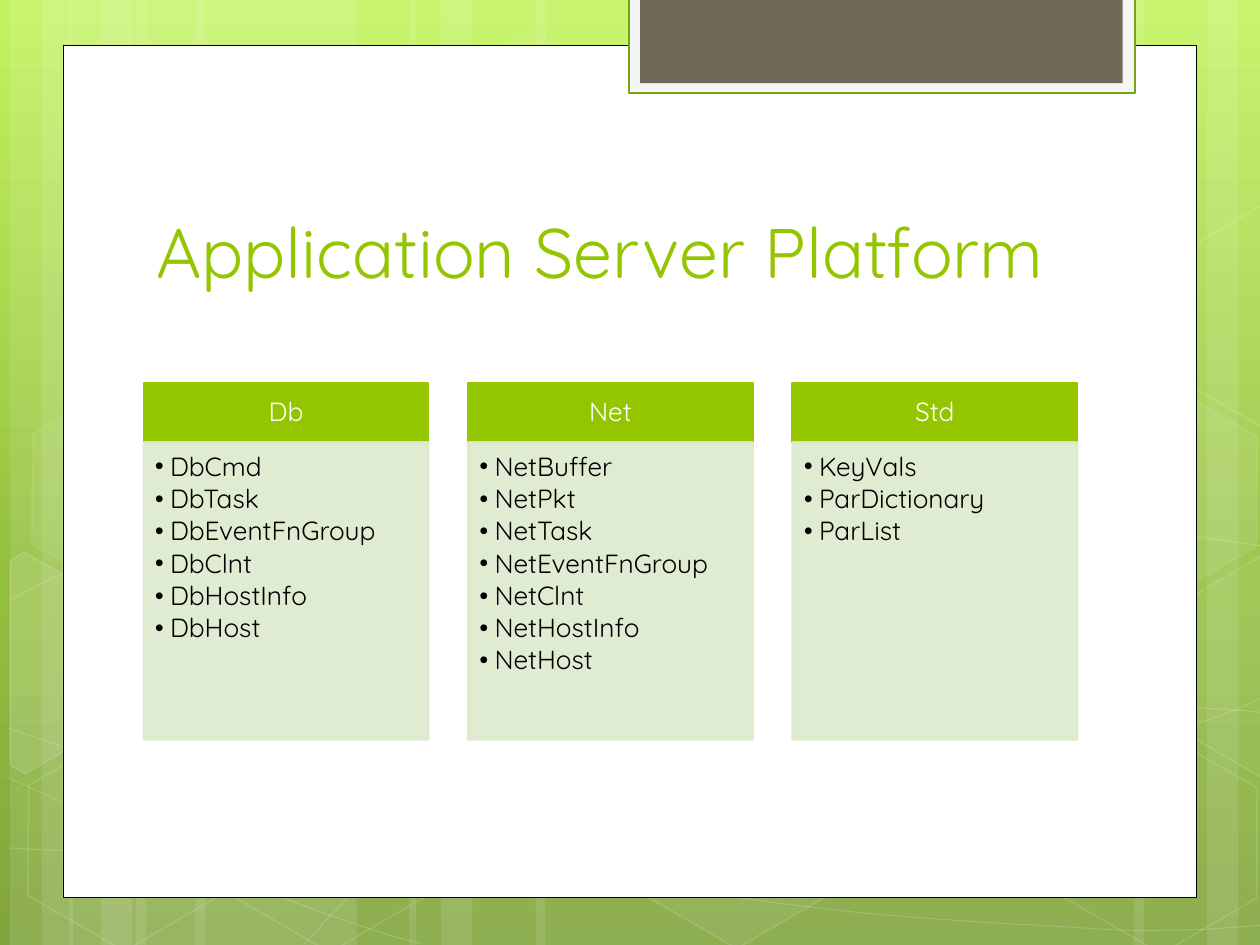
import copy
import math
from dataclasses import dataclass

import pptx
import pptx.dml.color
import pptx.enum.shapes
import pptx.enum.text
import pptx.oxml.ns
import pptx.util

Inches, Pt = pptx.util.Inches, pptx.util.Pt
MsoShape = pptx.enum.shapes.MSO_SHAPE
Anchor, Align = pptx.enum.text.MSO_ANCHOR, pptx.enum.text.PP_ALIGN
Point = tuple[float, float]
Box = tuple[float, float, float, float]


@dataclass(frozen=True)
class Theme:
    font: str = "Quicksand"
    title_size: int = 40
    body_size: int = 15
    accent: str = "94C600"
    pale: str = "DCEACC"
    white: str = "FFFFFF"
    black: str = "000000"
    tab_fill: str = "F5F5F5"
    tab_line: str = "74A510"
    tab_core: str = "71685A"
    gradient: tuple = ((0, "C3F35F"), (0.62, "93BF3F"), (1, "81A53E"))


@dataclass(frozen=True)
class Ink:
    color: str
    opacity: int = 100
    width: float = 1


@dataclass(frozen=True)
class Hexagon:
    left: float
    top: float
    fill_opacity: int
    line_opacity: int


@dataclass(frozen=True)
class CutHexagon:
    center: Point
    fill_opacity: int
    points: list[Point]


THEME = Theme()
TILT = 30

# Translucent vertical bands: left, width
BANDS = [(1.08, 1.75), (0.08, 0.5), (0.33, 0.83), (1.55, 1.75), (0.55, 0.5), (0.8, 0.83),
         (7.33, 1.75), (9.58, 0.5), (9, 0.83), (4.25, 3.08), (3.25, 0.5), (3.5, 0.83)]

# Bezier curves: a start point, then three points per segment
CURVES = [
    [(0.07, 6.73), (0.61, 6.76), (1.15, 6.79), (1.9, 6.78), (2.65, 6.77), (3.58, 6.75), (4.58, 6.65),
     (5.58, 6.55), (7, 6.36), (7.92, 6.17), (8.83, 5.98), (9.77, 5.68), (10.07, 5.51)],
    [(0.07, 4.77), (0.36, 4.61), (0.65, 4.46), (1.21, 4.31), (1.78, 4.16), (2.59, 3.94), (3.47, 3.87),
     (4.36, 3.8), (5.44, 3.79), (6.54, 3.87), (7.64, 3.95), (9.47, 4.26), (10.07, 4.34)],
    [(0.06, 6.17), (1.27, 6.72), (2.47, 7.27), (3.34, 7.49)],
    [(0.07, 5.78), (0.38, 5.89), (0.7, 6), (1.28, 6.16), (1.86, 6.31), (2.73, 6.56), (3.57, 6.73),
     (4.4, 6.9), (5.45, 7.08), (6.28, 7.18), (7.11, 7.29), (8, 7.33), (8.53, 7.36),
     (9.05, 7.4), (9.19, 7.38), (9.45, 7.38), (9.71, 7.37), (9.89, 7.35), (10.07, 7.34)],
    [(2.42, 7.49), (2.6, 7.29), (2.78, 7.09), (3.02, 6.91), (3.26, 6.73), (3.6, 6.53), (3.88, 6.39),
     (4.16, 6.25), (4.33, 6.19), (4.7, 6.09), (5.06, 5.99), (5.73, 5.85), (6.08, 5.78),
     (6.44, 5.71), (6.49, 5.71), (6.8, 5.69), (7.11, 5.66), (7.6, 5.63), (7.94, 5.62),
     (8.29, 5.61), (8.86, 5.62), (8.86, 5.62), (8.86, 5.62), (9.53, 5.62), (9.53, 5.62),
     (9.71, 5.63), (9.88, 5.64), (9.97, 5.65), (10.06, 5.66), (10.03, 5.65), (10.06, 5.66)],
]

# Tilted hexagons, some cut off by the slide edge
HEXAGONS = [
    Hexagon(3.34, 0.36, 4, 8), Hexagon(4.97, 5.89, 6, 12),
    CutHexagon((0.36, 5.35), 10, [(0.08, 4.45), (0.19, 4.38), (0.96, 4.82), (0.95, 5.7), (0.2, 6.14), (0.08, 6.07)]),
    Hexagon(0.11, 5.91, 0, 12), Hexagon(0.14, 3.12, 7, 8), Hexagon(1.74, 5.92, 0, 12),
    Hexagon(7.53, 4.53, 10, 12), Hexagon(8.34, 5.93, 0, 12), Hexagon(8.34, 3.14, 7, 8),
    CutHexagon((9.85, 5.2), 4, [(9.26, 4.85), (10.01, 4.41), (10.09, 4.46), (10.09, 6.13), (10.02, 6.17), (9.26, 5.73)]),
    CutHexagon((9.85, 2.41), 0, [(9.26, 2.07), (10.01, 1.63), (10.1, 1.68), (10.09, 3.35), (10.02, 3.39), (9.26, 2.95)]),
]

COLUMNS = {
    "Db": ["DbCmd", "DbTask", "DbEventFnGroup", "DbClnt", "DbHostInfo", "DbHost"],
    "Net": ["NetBuffer", "NetPkt", "NetTask", "NetEventFnGroup", "NetClnt", "NetHostInfo", "NetHost"],
    "Std": ["KeyVals", "ParDictionary", "ParList"],
}


def rgb(color: str) -> pptx.dml.color.RGBColor:
    return pptx.dml.color.RGBColor.from_string(color)


def make_element(tag: str, **attributes: str):
    element = pptx.oxml.parse_xml(f'<{tag} {pptx.oxml.ns.nsdecls("a")}/>')
    for name, value in attributes.items():
        element.set(name, value)
    return element


def paint(shape, fill: Ink | None, line: Ink | None) -> None:
    shape.shadow.inherit = False
    if line:
        shape.line.width = Pt(line.width)
    for ink, target, parent in ((fill, shape.fill, "p:spPr"), (line, shape.line.fill, "p:spPr/a:ln")):
        if ink is None:
            target.background()
            continue
        target.solid()
        target.fore_color.rgb = rgb(ink.color)
        if ink.opacity < 100:
            color = shape.element.xpath(f"./{parent}/a:solidFill/a:srgbClr")[0]
            color.append(make_element("a:alpha", val=str(ink.opacity * 1000)))


def add_preset(slide, box: Box, fill: Ink | None, line: Ink | None = None, kind=MsoShape.RECTANGLE):
    shape = slide.shapes.add_shape(kind, *map(Inches, box))
    paint(shape, fill, line)
    return shape


def add_outline(slide, points: list[Point], fill: Ink | None, line: Ink, close: bool):
    corners = [(Inches(x), Inches(y)) for x, y in points]
    builder = slide.shapes.build_freeform(*corners[0])
    builder.add_line_segments(corners[1:], close=close)
    shape = builder.convert_to_shape()
    paint(shape, fill, line)
    return shape


def add_curve(slide, controls: list[Point], line: Ink) -> None:
    """Turn each three line segments into one Bezier segment."""
    segments = add_outline(slide, controls, None, line, close=False).element.xpath(".//a:lnTo")
    for index in range(0, len(segments), 3):
        bezier = make_element("a:cubicBezTo")
        segments[index].addprevious(bezier)
        for segment in segments[index:index + 3]:
            bezier.append(segment[0])
            segment.getparent().remove(segment)


def add_hexagon(slide, hexagon: Hexagon | CutHexagon) -> None:
    fill = Ink(THEME.white, hexagon.fill_opacity) if hexagon.fill_opacity else None
    if isinstance(hexagon, CutHexagon):
        (x, y), cosine, sine = hexagon.center, math.cos(math.radians(TILT)), math.sin(math.radians(TILT))
        upright = [(x + (px - x) * cosine + (py - y) * sine, y - (px - x) * sine + (py - y) * cosine)
                   for px, py in hexagon.points]
        shape = add_outline(slide, upright, fill, Ink(THEME.white, 12), close=True)
    else:
        shape = add_preset(slide, (hexagon.left, hexagon.top, 1.75, 1.52), fill,
                           Ink(THEME.white, hexagon.line_opacity), MsoShape.HEXAGON)
        shape.adjustments[0] = 0.285
    shape.rotation = TILT


def write_lines(shape, lines: list[str], size: int, color: str, insets: Box, anchor,
                align=Align.LEFT, spacing: float = 1, bulleted: bool = False) -> None:
    frame = shape.text_frame
    frame.word_wrap, frame.vertical_anchor = True, anchor
    frame.margin_left, frame.margin_top, frame.margin_right, frame.margin_bottom = map(Inches, insets)
    frame.text = "\n".join(lines)
    for paragraph in frame.paragraphs:
        paragraph.alignment, paragraph.line_spacing = align, spacing
        if bulleted:
            paragraph.level, paragraph.space_after = 1, Pt(2.25)
            properties = paragraph._p.get_or_add_pPr()
            properties.set("marL", str(Inches(0.12)))
            properties.set("indent", str(Inches(-0.12)))
            properties.append(make_element("a:buFont", typeface=THEME.font))
            properties.append(make_element("a:buChar", char="•"))
        paragraph.font.name, paragraph.font.size = THEME.font, Pt(size)
        paragraph.font.color.rgb = rgb(color)


def draw_backdrop(slide) -> None:
    fill = slide.background.fill
    fill.gradient()
    fill.gradient_angle = 270
    stop_list = slide.element.xpath(".//a:gsLst")[0]
    stop_list.append(copy.deepcopy(stop_list[-1]))
    for stop, (position, color) in zip(fill.gradient_stops, THEME.gradient):
        stop.position, stop.color.rgb = position, rgb(color)
    for left, width in BANDS:
        add_preset(slide, (left, 0, width, 7.5), Ink(THEME.white, 10))
    for controls in CURVES:
        add_curve(slide, controls, Ink(THEME.white, 20, 0.5))
    for hexagon in HEXAGONS:
        add_hexagon(slide, hexagon)


def draw_column(slide, left: float, heading: str, items: list[str]) -> None:
    header = add_preset(slide, (left, 3.04, 2.26, 0.47), Ink(THEME.accent), Ink(THEME.accent, width=1.25))
    write_lines(header, [heading], THEME.body_size, THEME.white, (0.12, 0.07, 0.12, 0.07),
                Anchor.MIDDLE, Align.CENTER, 0.9)
    body = add_preset(slide, (left, 3.51, 2.26, 2.36), Ink(THEME.pale, 90), Ink(THEME.pale, 90, 1.25))
    write_lines(body, items, THEME.body_size, THEME.black, (0.09, 0.09, 0.12, 0.13),
                Anchor.TOP, spacing=0.9, bulleted=True)


presentation = pptx.Presentation()
presentation.slide_width, presentation.slide_height = Inches(10), Inches(7.5)
slide = presentation.slides.add_slide(presentation.slide_layouts[6])
draw_backdrop(slide)
# White panel and the tab at its top
add_preset(slide, (0.5, 0.36, 9, 6.76), Ink(THEME.white), Ink(THEME.black, width=0.5))
add_preset(slide, (4.99, -0.02, 4.02, 0.76), Ink(THEME.tab_fill), Ink(THEME.tab_line, width=1.25))
add_preset(slide, (5.08, -0.02, 3.83, 0.68), Ink(THEME.tab_core))
# Title and class columns
title = slide.shapes.add_textbox(*map(Inches, (1.14, 1.12, 7.68, 1.25)))
write_lines(title, ["Application Server Platform"], THEME.title_size, THEME.accent,
            (0.1, 0.05, 0.1, 0.05), Anchor.BOTTOM)
for index, (heading, items) in enumerate(COLUMNS.items()):
    draw_column(slide, 1.14 + 2.575 * index, heading, items)
presentation.save("out.pptx")
